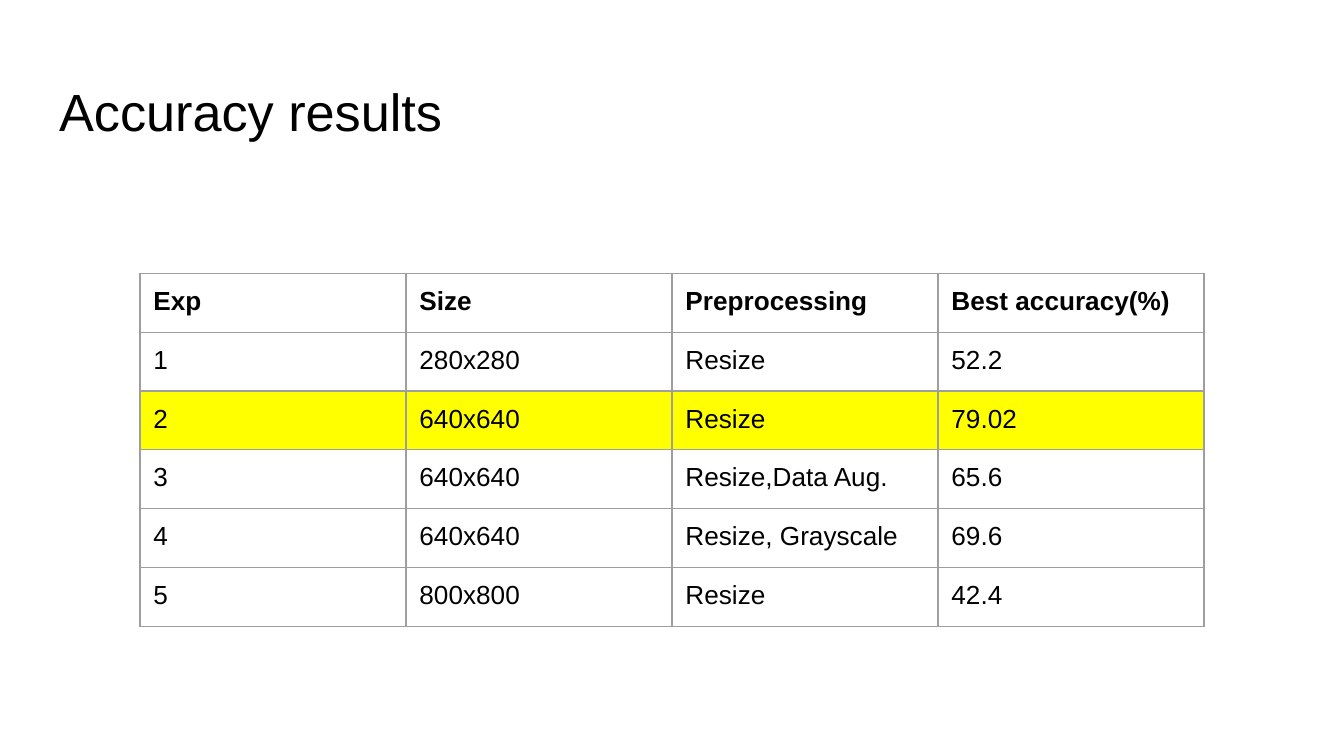
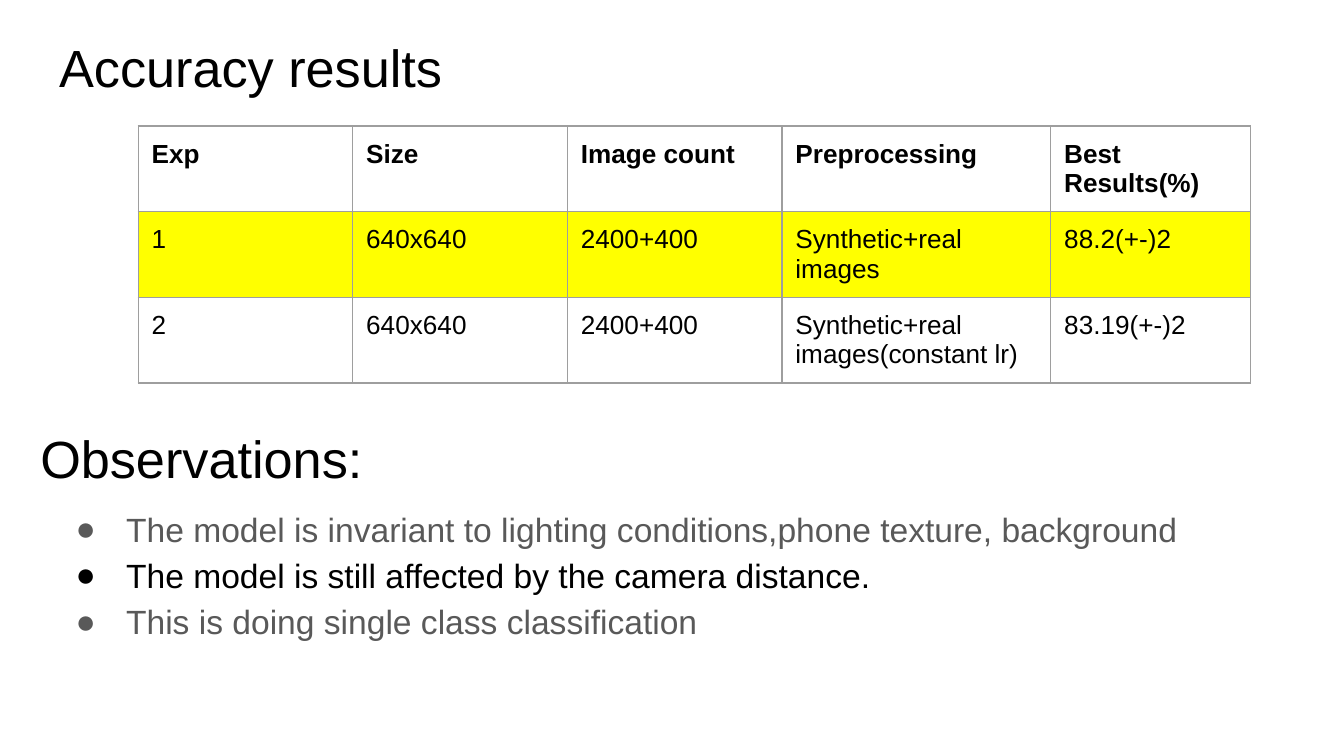
from dataclasses import dataclass

from lxml.etree import SubElement
from pptx import Presentation
from pptx.dml.color import RGBColor
from pptx.enum.text import MSO_ANCHOR, MSO_AUTO_SIZE, PP_ALIGN
from pptx.oxml.ns import qn
from pptx.util import Pt


@dataclass(frozen=True)
class Theme:
    font: str = "Arial"
    background: RGBColor = RGBColor(0xFF, 0xFF, 0xFF)
    ink: RGBColor = RGBColor(0x00, 0x00, 0x00)
    muted: RGBColor = RGBColor(0x59, 0x59, 0x59)
    highlight: RGBColor = RGBColor(0xFF, 0xFF, 0x00)
    grid: RGBColor = RGBColor(0x9E, 0x9E, 0x9E)
    grid_width: float = 0.75
    title_size: float = 28
    body_size: float = 18
    table_size: float = 14
    inset: float = 7.2


THEME = Theme()
BAND_WIDTH, HEADING_HEIGHT = 671, 45
TITLE_LEFT = 24.5
BULLET_INDENT, BULLET_HANG = 36, 27

RESULTS = [
    {
        "title": "Accuracy results",
        "title_top": 35,
        "table_at": (75, 146.5),
        "columns": [142.5] * 4,
        "row_height": 31.5,
        "best_row": 2,
        "rows": [
            ("Exp", "Size", "Preprocessing", "Best accuracy(%)"),
            ("1", "280x280", "Resize", "52.2"),
            ("2", "640x640", "Resize", "79.02"),
            ("3", "640x640", "Resize,Data Aug.", "65.6"),
            ("4", "640x640", "Resize, Grayscale", "69.6"),
            ("5", "800x800", "Resize", "42.4"),
        ],
    },
    {
        "title": "Accuracy results",
        "title_top": 11.5,
        "table_at": (74, 67.5),
        "columns": [115, 115, 115, 144, 107],
        "row_height": 30,
        "best_row": 1,
        "rows": [
            ("Exp", "Size", "Image count", "Preprocessing", "Best Results(%)"),
            ("1", "640x640", "2400+400", "Synthetic+real images", "88.2(+-)2"),
            ("2", "640x640", "2400+400", "Synthetic+real images(constant lr)", "83.19(+-)2"),
        ],
    },
]

OBSERVATIONS_HEADING = "Observations:"
OBSERVATIONS = [
    ("The model is invariant to lighting conditions,phone texture, background", THEME.muted),
    ("The model is still affected by the camera distance.", THEME.ink),
    ("This is doing single class classification", THEME.muted),
]


def add_run(paragraph, text, size, color=THEME.ink, bold=False):
    paragraph.alignment = PP_ALIGN.LEFT
    run = paragraph.add_run()
    run.text = text
    run.font.name = THEME.font
    run.font.size = Pt(size)
    run.font.bold = bold
    run.font.color.rgb = color


def set_insets(target):
    """Apply the shared inset to a text frame or a table cell."""
    target.margin_left = target.margin_right = Pt(THEME.inset)
    target.margin_top = target.margin_bottom = Pt(THEME.inset)


def place_text(shape, left, top, width, height):
    shape.left, shape.top, shape.width, shape.height = map(Pt, (left, top, width, height))
    frame = shape.text_frame
    frame.word_wrap = True
    frame.auto_size = MSO_AUTO_SIZE.NONE
    frame.vertical_anchor = MSO_ANCHOR.TOP
    set_insets(frame)
    return frame


def add_heading(shape, text, left, top):
    frame = place_text(shape, left, top, BAND_WIDTH, HEADING_HEIGHT)
    add_run(frame.paragraphs[0], text, THEME.title_size)


def add_solid_color(parent, color):
    SubElement(parent, qn("a:srgbClr"), val=str(color))


def add_borders(cell):
    properties = cell._tc.get_or_add_tcPr()
    for side in ("lnL", "lnR", "lnT", "lnB"):
        border = SubElement(properties, qn(f"a:{side}"), w=str(Pt(THEME.grid_width)))
        add_solid_color(SubElement(border, qn("a:solidFill")), THEME.grid)


def add_results_table(slide, result):
    rows, columns = result["rows"], result["columns"]
    left, top = result["table_at"]
    height = result["row_height"]
    table = slide.shapes.add_table(
        len(rows), len(columns), Pt(left), Pt(top), Pt(sum(columns)), Pt(height * len(rows))
    ).table
    table.first_row = table.horz_banding = False
    for column, width in zip(table.columns, columns):
        column.width = Pt(width)
    for row_number, values in enumerate(rows):
        table.rows[row_number].height = Pt(height)
        for column_number, value in enumerate(values):
            cell = table.cell(row_number, column_number)
            set_insets(cell)
            add_borders(cell)
            if row_number == result["best_row"]:
                cell.fill.solid()
                cell.fill.fore_color.rgb = THEME.highlight
            else:
                cell.fill.background()
            add_run(cell.text_frame.paragraphs[0], value, THEME.table_size, bold=row_number == 0)


def add_bullet(paragraph, color):
    properties = paragraph._p.get_or_add_pPr()
    properties.set("marL", str(Pt(BULLET_INDENT)))
    properties.set("indent", str(Pt(-BULLET_HANG)))
    add_solid_color(SubElement(properties, qn("a:buClr")), color)
    SubElement(properties, qn("a:buFont"), typeface=THEME.font)
    SubElement(properties, qn("a:buChar"), char="●")


def add_observations(slide):
    heading, body = (slide.shapes.add_textbox(0, 0, 0, 0) for _ in range(2))
    add_heading(heading, OBSERVATIONS_HEADING, 14.5, 221)
    frame = place_text(body, TITLE_LEFT, 262, BAND_WIDTH, 98)
    for number, (text, color) in enumerate(OBSERVATIONS):
        paragraph = frame.add_paragraph() if number else frame.paragraphs[0]
        paragraph.line_spacing = 1.15
        add_bullet(paragraph, color)
        add_run(paragraph, text, THEME.body_size, color)


def add_results_slide(deck, result):
    slide = deck.slides.add_slide(deck.slide_layouts.get_by_name("Title Only"))
    slide.background.fill.solid()
    slide.background.fill.fore_color.rgb = THEME.background
    add_heading(slide.shapes.title, result["title"], TITLE_LEFT, result["title_top"])
    add_results_table(slide, result)
    return slide


def main():
    deck = Presentation()
    deck.slide_width, deck.slide_height = Pt(720), Pt(405)
    slides = [add_results_slide(deck, result) for result in RESULTS]
    add_observations(slides[-1])
    deck.save("out.pptx")


if __name__ == "__main__":
    main()
